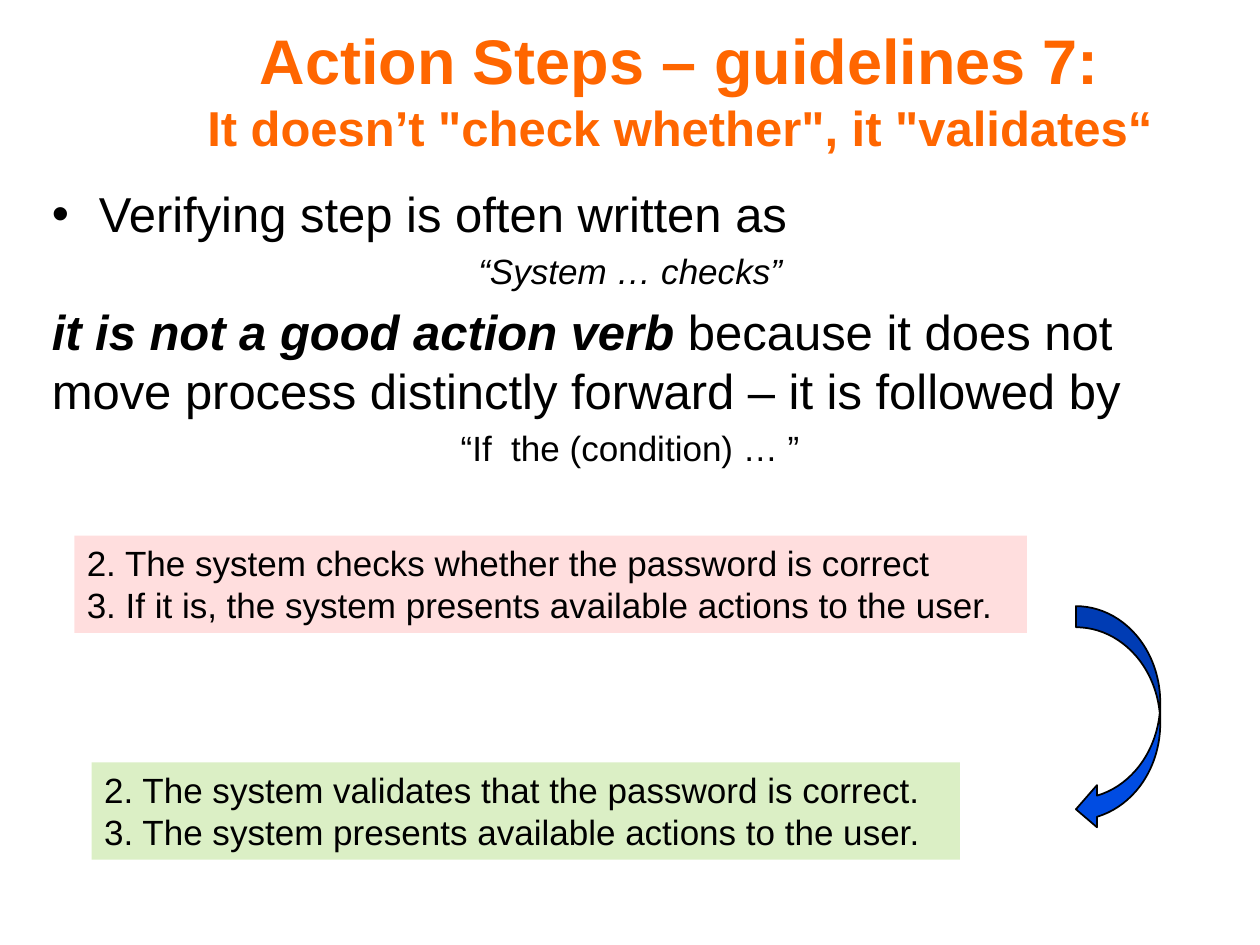
import pptx
import pptx.util
import pptx.dml.color
import pptx.enum.shapes
import pptx.enum.text
import pptx.oxml.ns
import lxml.etree

Cm = pptx.util.Cm
Pt = pptx.util.Pt
Shape = pptx.enum.shapes.MSO_SHAPE
Align = pptx.enum.text.PP_ALIGN
Anchor = pptx.enum.text.MSO_ANCHOR


def tint(code):
    return pptx.dml.color.RGBColor.from_string(code)


def add(node, tag, **attrs):
    item = lxml.etree.SubElement(node, pptx.oxml.ns.qn(tag))
    for key, value in attrs.items():
        item.set(key, value)
    return item


def write(para, text, size=20, color="000000", bold=False, italic=False, face="Arial"):
    run = para.add_run()
    run.text = text
    font = run.font
    font.name, font.size, font.bold, font.italic = face, Pt(size), bold, italic
    font.color.rgb = tint(color)


class Deck:
    accent = "FF6600"
    big = 28

    def __init__(self):
        self.file = pptx.Presentation()
        self.file.slide_width = Cm(25.4)
        self.file.slide_height = Cm(19.05)
        self.slide = self.file.slides.add_slide(self.file.slide_layouts[1])

    def place(self, holder, left, top, width, height, anchor):
        holder.left, holder.top = Cm(left), Cm(top)
        holder.width, holder.height = Cm(width), Cm(height)
        frame = holder.text_frame
        frame.auto_size = pptx.enum.text.MSO_AUTO_SIZE.NONE
        frame.vertical_anchor = anchor
        return frame

    def title(self, head, line, *area):
        frame = self.place(self.slide.shapes.title, *area, Anchor.MIDDLE)
        para = frame.paragraphs[0]
        para.alignment = Align.CENTER
        write(para, head, size=36, color=self.accent, bold=True)
        para.add_line_break()
        write(para, line, size=self.big, color=self.accent, bold=True)

    def body(self, items, *area):
        frame = self.place(self.slide.placeholders[1], *area, Anchor.TOP)
        for num, (kind, runs) in enumerate(items):
            para = frame.add_paragraph() if num else frame.paragraphs[0]
            quote = kind == "quote"
            size = 20 if quote else self.big
            para.alignment = Align.CENTER if quote else Align.LEFT
            para.space_before = Pt(size * 0.2)
            props = para._p.get_or_add_pPr()
            hang = Cm(0.95) if kind == "bullet" else 0
            props.set("marL", str(hang))
            props.set("indent", str(-hang))
            if hang:
                add(props, "a:buChar", char="•")
            else:
                add(props, "a:buNone")
            for text, form in runs:
                write(para, text, size=size, **form)

    def shape(self, kind, fill, *area):
        item = self.slide.shapes.add_shape(kind, *map(Cm, area))
        item.shadow.inherit = False
        item.fill.solid()
        item.fill.fore_color.rgb = tint(fill)
        return item

    def box(self, lines, fill, alpha, *area):
        item = self.shape(Shape.RECTANGLE, fill, *area)
        item.line.fill.background()
        color = item._element.spPr.find(".//" + pptx.oxml.ns.qn("a:srgbClr"))
        add(color, "a:alpha", val=str(alpha * 1000))
        frame = item.text_frame
        frame.word_wrap = True
        frame.vertical_anchor = Anchor.TOP
        for num, line in enumerate(lines):
            para = frame.add_paragraph() if num else frame.paragraphs[0]
            para.alignment = Align.LEFT
            write(para, line)

    def arrow(self, fill, *area):
        item = self.shape(Shape.CURVED_LEFT_ARROW, fill, *area)
        item.line.color.rgb = tint("000000")
        item.line.width = Pt(1)


def main():
    deck = Deck()
    deck.title("Action Steps – guidelines 7:",
               "It doesn’t \"check whether\", it \"validates“",
               2.59, 0.41, 22.23, 2.77)
    deck.body([
        ("bullet", [("Verifying step is often written as", {})]),
        ("quote", [("“System … checks”", {"italic": True})]),
        ("plain", [("it is not a good action verb", {"bold": True, "italic": True}),
                   (" because it does not move process distinctly forward"
                    " – it is followed by", {})]),
        ("quote", [("“If  the (condition) … ”", {})]),
    ], 0.79, 3.58, 23.83, 14.1)
    deck.box(["2. The system checks whether the password is correct",
              "3. If it is, the system presents available actions to the user."],
             "FF0000", 13, 1.5, 10.8, 19.2, 1.96)
    deck.box(["2. The system validates that the password is correct.",
              "3. The system presents available actions to the user."],
             "92D050", 33, 1.85, 15.37, 17.5, 1.96)
    deck.arrow("004CE2", 21.69, 12.22, 1.7, 4.52)
    deck.file.save("out.pptx")


if __name__ == "__main__":
    main()
